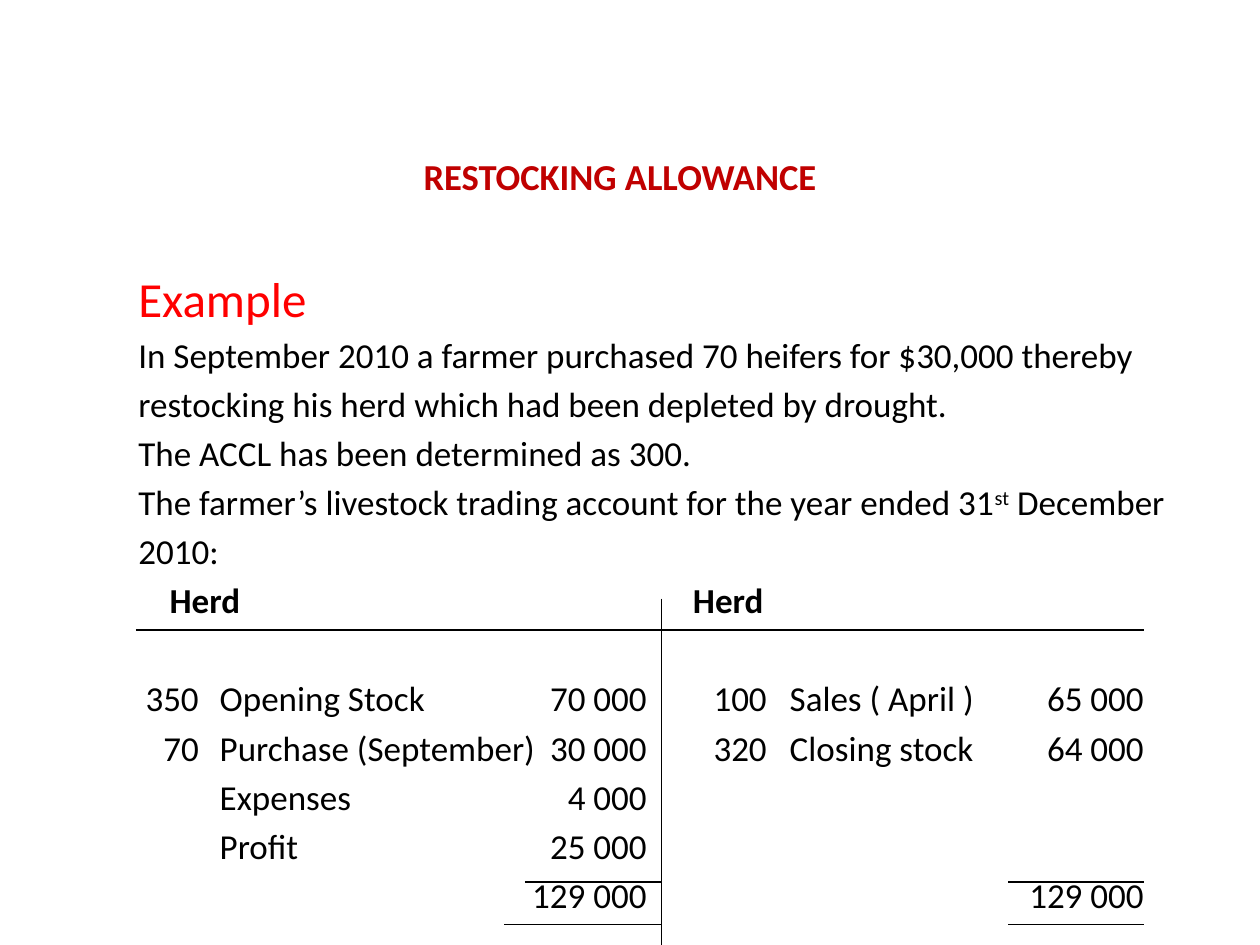
from typing import NamedTuple

from lxml.etree import SubElement
from pptx import Presentation
from pptx.dml.color import RGBColor
from pptx.enum.shapes import MSO_CONNECTOR
from pptx.enum.text import MSO_ANCHOR, PP_ALIGN
from pptx.oxml.ns import qn
from pptx.util import Cm, Pt

COLORS = {"title": "C00000", "heading": "FF0000", "text": "000000"}
FONT = "Calibri"
SUPERSCRIPT = "30000"
ROW_SPACE = 4
BLANK_ROW = 28


class TabStop(NamedTuple):
    position: float
    align: str


class Rule(NamedTuple):
    left: float
    top: float
    right: float
    bottom: float


HEADER_TABS = [TabStop(0.63, "l"), TabStop(11.18, "l")]
# Count, label and amount on each side of the account
ACCOUNT_TABS = [
    TabStop(1.22, "r"), TabStop(1.64, "l"), TabStop(10.25, "r"),
    TabStop(12.67, "r"), TabStop(13.13, "l"), TabStop(20.27, "r"),
]
NARRATIVE = [
    "In September 2010 a farmer purchased 70 heifers for $30,000 thereby",
    "restocking his herd which had been depleted by drought.",
    "The ACCL has been determined as 300.",
]
DATE_LINE = ["The farmer’s livestock trading account for the year ended 31", "st", " December"]
ACCOUNT = [
    ["350", "Opening Stock", "70 000", "100", "Sales ( April )", "65 000"],
    ["70", "Purchase (September)", "30 000", "320", "Closing stock", "64 000"],
    ["", "Expenses", "4 000"],
    ["", "Profit", "25 000"],
    ["", "", "129 000", "", "", "129 000"],
]
MIDDLE, RIGHT = 13.34, 23.07
RULES = [
    Rule(2.74, 12.7, RIGHT, 12.7),
    Rule(MIDDLE, 12.07, MIDDLE, 19.05),
    Rule(10.58, 17.78, MIDDLE, 17.78),
    Rule(10.16, 18.63, MIDDLE, 18.63),
    Rule(20.32, 17.78, RIGHT, 17.78),
    Rule(20.32, 18.63, RIGHT, 18.63),
]


def format_run(run, size: float, color: str, bold: bool = False) -> None:
    run.font.name = FONT
    run.font.size = Pt(size)
    run.font.bold = bold
    run.font.color.rgb = RGBColor.from_string(COLORS[color])


def raise_run(run) -> None:
    run._r.get_or_add_rPr().set("baseline", SUPERSCRIPT)


def add_line(text_frame, parts: list[str], bold: bool = False, space: float = ROW_SPACE):
    paragraph = text_frame.add_paragraph()
    paragraph.space_before = Pt(space)
    for part in parts:
        run = paragraph.add_run()
        run.text = part
        format_run(run, 20, "text", bold)
    return paragraph


def add_row(text_frame, cells: list[str], tabs: list[TabStop],
            bold: bool = False, space: float = ROW_SPACE) -> None:
    paragraph = add_line(text_frame, ["\t" + "\t".join(cells)], bold, space)
    properties = paragraph._p.get_or_add_pPr()
    tab_list = SubElement(properties, qn("a:tabLst"))
    for tab in tabs:
        SubElement(tab_list, qn("a:tab"), pos=str(Cm(tab.position)), algn=tab.align)


def add_rule(slide, rule: Rule) -> None:
    connector = slide.shapes.add_connector(
        MSO_CONNECTOR.STRAIGHT, *(Cm(length) for length in rule))
    connector.line.color.rgb = RGBColor.from_string(COLORS["text"])
    connector.line.width = Pt(0.75)
    SubElement(connector._element.spPr, qn("a:effectLst"))


def main() -> None:
    presentation = Presentation()
    presentation.slide_width, presentation.slide_height = Cm(25.4), Cm(19.05)
    slide = presentation.slides.add_slide(presentation.slide_layouts[5])

    # Title
    title = slide.shapes.title
    title.left, title.top, title.width, title.height = Cm(1.07), Cm(2.34), Cm(22.86), Cm(2.74)
    title.text_frame.text = "RESTOCKING ALLOWANCE"
    title.text_frame.vertical_anchor = MSO_ANCHOR.MIDDLE
    heading = title.text_frame.paragraphs[0]
    heading.alignment = PP_ALIGN.CENTER
    format_run(heading.runs[0], 36, "title", True)
    raise_run(heading.runs[0])

    # Example
    body = slide.shapes.add_textbox(Cm(2.54), Cm(5.28), Cm(22.86), Cm(12.57))
    text_frame = body.text_frame
    text_frame.word_wrap = True
    text_frame.text = "Example"
    format_run(text_frame.paragraphs[0].runs[0], 28, "heading")
    for sentence in NARRATIVE:
        add_line(text_frame, [sentence])
    raise_run(add_line(text_frame, DATE_LINE).runs[1])
    add_line(text_frame, ["2010:"])

    # Livestock trading account
    add_row(text_frame, ["Herd", "Herd"], HEADER_TABS, bold=True)
    for index, cells in enumerate(ACCOUNT):
        space = ROW_SPACE if index else ROW_SPACE + BLANK_ROW
        add_row(text_frame, cells, ACCOUNT_TABS, space=space)

    # Account rules
    for rule in RULES:
        add_rule(slide, rule)

    presentation.save("out.pptx")


if __name__ == "__main__":
    main()
